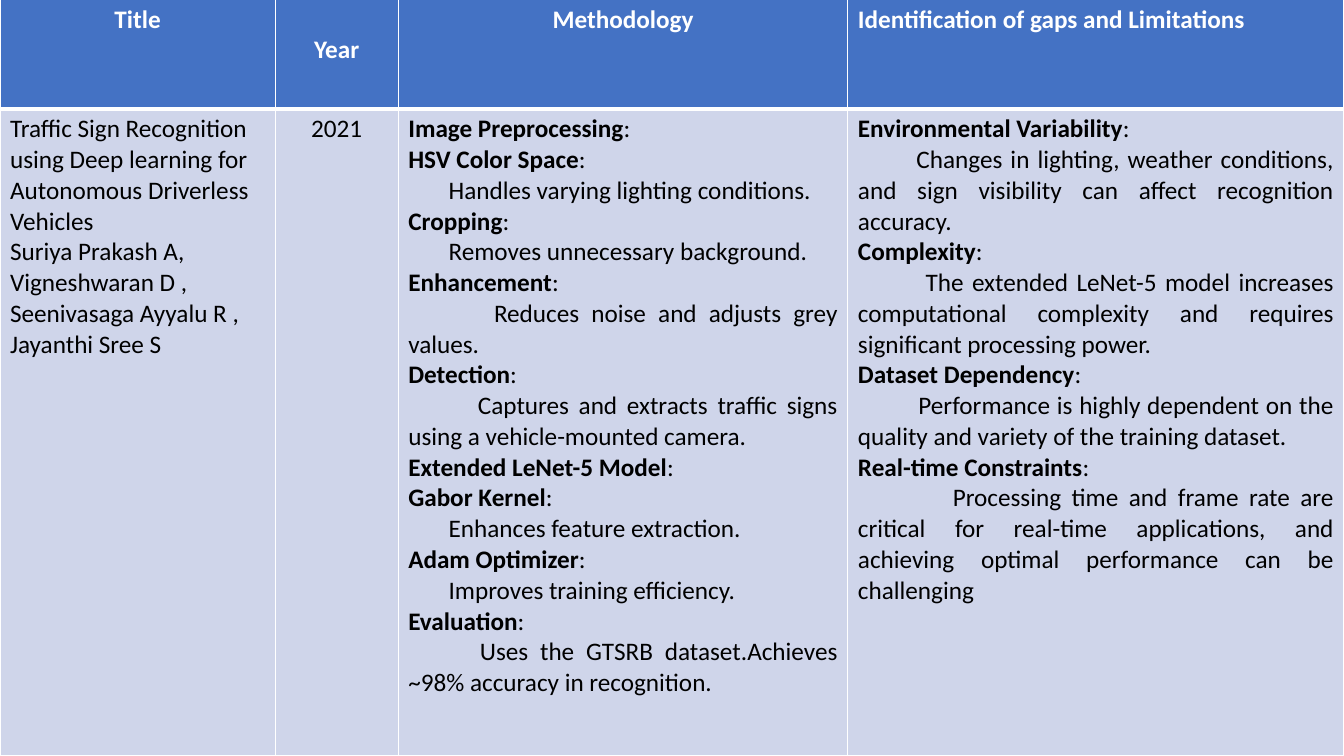
"""Build a literature survey slide holding one full-slide table."""
from dataclasses import dataclass

from lxml.etree import SubElement
from pptx import Presentation
from pptx.dml.color import RGBColor
from pptx.enum.text import PP_ALIGN
from pptx.oxml.ns import qn
from pptx.util import Inches, Pt


@dataclass(frozen=True)
class Theme:
    font: str = "Calibri"
    size: int = 18
    header_fill: str = "4472C4"
    body_fill: str = "CFD5EA"
    header_text: str = "FFFFFF"
    body_text: str = "000000"
    border: str = "FFFFFF"


THEME = Theme()


def write(paragraph, text, color=THEME.body_text, bold=False, align=PP_ALIGN.LEFT, indent=0):
    run = paragraph.add_run()
    run.text = text
    run.font.name = THEME.font
    run.font.size = Pt(THEME.size)
    run.font.bold = bold
    run.font.color.rgb = RGBColor.from_string(color)
    paragraph.alignment = align
    if indent:
        properties = paragraph._p.get_or_add_pPr()
        properties.set("marL", "0")
        properties.set("indent", str(Inches(indent)))


def style_cell(cell, fill, widths):
    properties = cell._tc.get_or_add_tcPr()
    for edge, width in widths.items():
        line = SubElement(properties, qn(f"a:{edge}"), w=str(Pt(width)))
        SubElement(SubElement(line, qn("a:solidFill")), qn("a:srgbClr"), val=THEME.border)
    cell.fill.solid()
    cell.fill.fore_color.rgb = RGBColor.from_string(fill)


headers = [
    ("Title", PP_ALIGN.CENTER, 0.05),
    ("Year", PP_ALIGN.CENTER, 0.35),
    ("Methodology", PP_ALIGN.CENTER, 0.05),
    ("Identification of gaps and Limitations", PP_ALIGN.LEFT, 0.05),
]
paper = [
    "Traffic Sign Recognition using Deep learning for Autonomous Driverless Vehicles",
    "Suriya Prakash A, Vigneshwaran D , Seenivasaga Ayyalu R ,",
    "Jayanthi Sree S",
]
methodology = [
    ("Image Preprocessing", "", 0),
    ("HSV Color Space", "Handles varying lighting conditions.", 0.4),
    ("Cropping", "Removes unnecessary background.", 0.4),
    ("Enhancement", "Reduces noise and adjusts grey values.", 0.85),
    ("Detection", "Captures and extracts traffic signs using a vehicle-mounted camera.", 0.69),
    ("Extended LeNet-5 Model", "", 0),
    ("Gabor Kernel", "Enhances feature extraction.", 0.4),
    ("Adam Optimizer", "Improves training efficiency.", 0.4),
    ("Evaluation", "Uses the GTSRB dataset.Achieves ~98% accuracy in recognition.", 0.71),
]
limitations = [
    ("Environmental Variability",
     "Changes in lighting, weather conditions, and sign visibility can affect "
     "recognition accuracy.", 0.58),
    ("Complexity",
     "The extended LeNet-5 model increases computational complexity and requires "
     "significant processing power.", 0.67),
    ("Dataset Dependency",
     "Performance is highly dependent on the quality and variety of the training "
     "dataset.", 0.6),
    ("Real-time Constraints",
     "Processing time and frame rate are critical for real-time applications, and "
     "achieving optimal performance can be challenging", 0.94),
]

presentation = Presentation()
presentation.slide_width = Inches(13.33)
presentation.slide_height = Inches(7.5)
slide = presentation.slides.add_slide(presentation.slide_layouts[6])

survey = slide.shapes.add_table(
    2, 4, Inches(0), Inches(-0.01), Inches(13.33), Inches(7.51)).table
for column, width in zip(survey.columns, (2.73, 1.22, 4.46, 4.92)):
    column.width = Inches(width)
for row, height in zip(survey.rows, (1.09, 6.42)):
    row.height = Inches(height)

for index, (heading, align, top_margin) in enumerate(headers):
    header = survey.cell(0, index)
    style_cell(header, THEME.header_fill, {"lnL": 1, "lnR": 1, "lnT": 1, "lnB": 3})
    header.margin_top = Inches(top_margin)
    write(header.text_frame.paragraphs[0], heading,
          color=THEME.header_text, bold=True, align=align)
    style_cell(survey.cell(1, index), THEME.body_fill, {"lnL": 1, "lnR": 1, "lnT": 3, "lnB": 1})

paper_frame = survey.cell(1, 0).text_frame
for number, entry in enumerate(paper):
    write(paper_frame.add_paragraph() if number else paper_frame.paragraphs[0], entry)

write(survey.cell(1, 1).text_frame.paragraphs[0], "2021", align=PP_ALIGN.CENTER)

for index, topics in ((2, methodology), (3, limitations)):
    topic_frame = survey.cell(1, index).text_frame
    for number, (topic, detail, indent) in enumerate(topics):
        topic_line = topic_frame.add_paragraph() if number else topic_frame.paragraphs[0]
        write(topic_line, topic, bold=True)
        write(topic_line, ":")
        if detail:
            write(topic_frame.add_paragraph(), detail, align=PP_ALIGN.JUSTIFY, indent=indent)

presentation.save("out.pptx")
